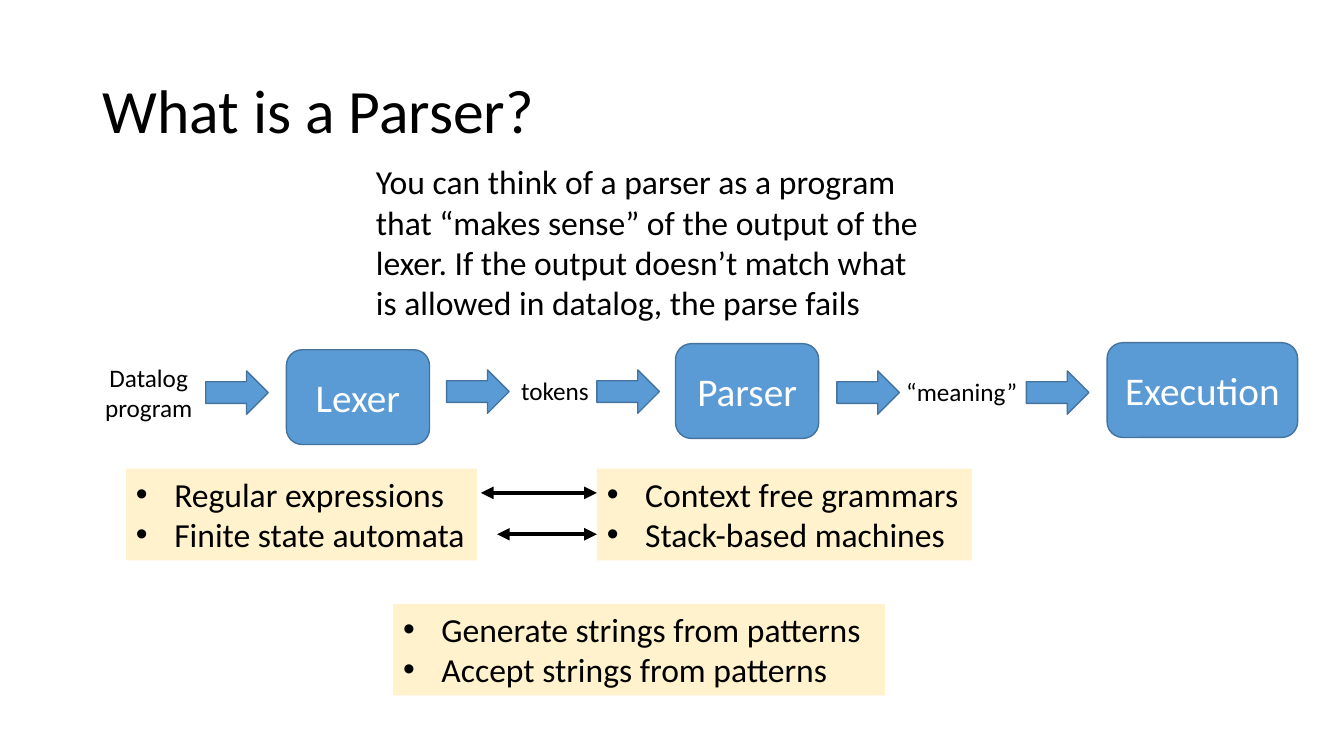
from dataclasses import dataclass

from lxml.etree import SubElement
from pptx import Presentation
from pptx.dml.color import RGBColor
from pptx.enum.shapes import MSO_CONNECTOR, MSO_SHAPE
from pptx.enum.text import MSO_ANCHOR, PP_ALIGN
from pptx.oxml.ns import qn
from pptx.shapes.autoshape import Shape
from pptx.slide import Slide
from pptx.text.text import TextFrame
from pptx.util import Inches, Pt


@dataclass(frozen=True)
class Theme:
    font: str = "Calibri"
    text: RGBColor = RGBColor(0x00, 0x00, 0x00)
    stage_text: RGBColor = RGBColor(0xFF, 0xFF, 0xFF)
    stage_fill: RGBColor = RGBColor(0x5B, 0x9B, 0xD5)
    stage_line: RGBColor = RGBColor(0x43, 0x73, 0x9E)
    note_fill: RGBColor = RGBColor(0xFF, 0xF2, 0xCC)
    title_size: int = 44
    stage_size: int = 28
    body_size: int = 24
    label_size: int = 18


@dataclass(frozen=True)
class Box:
    left: float
    top: float
    width: float
    height: float


@dataclass(frozen=True)
class Caption:
    box: Box
    lines: tuple[str, ...]
    size: int
    align: PP_ALIGN = PP_ALIGN.LEFT
    anchor: MSO_ANCHOR = MSO_ANCHOR.TOP
    wrap: bool = True
    spacing: float = 1.0


@dataclass(frozen=True)
class Stage:
    name: str
    box: Box


@dataclass(frozen=True)
class Notes:
    box: Box
    items: tuple[str, ...]


@dataclass(frozen=True)
class Link:
    start: float
    end: float
    y: float


THEME = Theme()

CAPTIONS = (
    Caption(Box(0.92, 0.4, 11.5, 1.45), ("What is a Parser?",), THEME.title_size,
            anchor=MSO_ANCHOR.MIDDLE, spacing=0.9),
    Caption(Box(3.63, 1.55, 5.63, 1.72), (
        "You can think of a parser as a program",
        "that “makes sense” of the output of the",
        "lexer. If the output doesn’t match what",
        "is allowed in datalog, the parse fails",
    ), THEME.body_size, wrap=False),
    Caption(Box(0.68, 3.54, 1.59, 0.71), ("Datalog program",), THEME.label_size,
            align=PP_ALIGN.CENTER),
    Caption(Box(5.07, 3.67, 1.01, 0.4), ("tokens",), THEME.label_size),
    Caption(Box(8.89, 3.68, 1.37, 0.4), ("“meaning”",), THEME.label_size),
)
FLOW_ARROWS = tuple(
    Box(left, top, 0.62, 0.43)
    for left, top in ((2.04, 3.68), (4.43, 3.67), (5.92, 3.67), (8.3, 3.68), (10.18, 3.68))
)
STAGES = (
    Stage("Lexer", Box(2.84, 3.47, 1.42, 0.94)),
    Stage("Parser", Box(6.7, 3.41, 1.42, 0.94)),
    Stage("Execution", Box(10.98, 3.4, 1.89, 0.94)),
)
NOTES = (
    Notes(Box(1.25, 4.65, 3.48, 0.91), ("Regular expressions", "Finite state automata")),
    Notes(Box(5.92, 4.65, 3.72, 0.91), ("Context free grammars", "Stack-based machines")),
    Notes(Box(3.9, 5.99, 4.88, 0.91),
          ("Generate strings from patterns", "Accept strings from patterns")),
)
LINKS = (Link(4.77, 5.92, 4.89), Link(4.93, 5.92, 5.3))


def place(box: Box) -> tuple[Inches, Inches, Inches, Inches]:
    return Inches(box.left), Inches(box.top), Inches(box.width), Inches(box.height)


def write_lines(frame: TextFrame, lines: tuple[str, ...], size: int, color: RGBColor,
                align: PP_ALIGN = PP_ALIGN.LEFT, spacing: float = 1.0,
                bulleted: bool = False) -> None:
    for index, line in enumerate(lines):
        paragraph = frame.add_paragraph() if index else frame.paragraphs[0]
        paragraph.alignment = align
        paragraph.line_spacing = spacing
        if bulleted:
            properties = paragraph._p.get_or_add_pPr()
            properties.set("marL", str(Inches(0.38)))
            properties.set("indent", str(-Inches(0.38)))
            SubElement(properties, qn("a:buFont"), typeface="Arial")
            SubElement(properties, qn("a:buChar"), char="•")
        run = paragraph.add_run()
        run.text = line
        run.font.name = THEME.font
        run.font.size = Pt(size)
        run.font.color.rgb = color


def add_caption(slide: Slide, caption: Caption) -> None:
    frame = slide.shapes.add_textbox(*place(caption.box)).text_frame
    frame.word_wrap = caption.wrap
    frame.vertical_anchor = caption.anchor
    write_lines(frame, caption.lines, caption.size, THEME.text, caption.align, caption.spacing)


def add_blue_shape(slide: Slide, kind: MSO_SHAPE, box: Box) -> Shape:
    shape = slide.shapes.add_shape(kind, *place(box))
    shape.shadow.inherit = False
    shape.fill.solid()
    shape.fill.fore_color.rgb = THEME.stage_fill
    shape.line.color.rgb = THEME.stage_line
    shape.line.width = Pt(1)
    return shape


def add_stage(slide: Slide, stage: Stage) -> None:
    frame = add_blue_shape(slide, MSO_SHAPE.ROUNDED_RECTANGLE, stage.box).text_frame
    frame.word_wrap = True
    frame.vertical_anchor = MSO_ANCHOR.MIDDLE
    write_lines(frame, (stage.name,), THEME.stage_size, THEME.stage_text, PP_ALIGN.CENTER)


def add_notes(slide: Slide, notes: Notes) -> None:
    panel = slide.shapes.add_textbox(*place(notes.box))
    panel.fill.solid()
    panel.fill.fore_color.rgb = THEME.note_fill
    panel.text_frame.word_wrap = False
    write_lines(panel.text_frame, notes.items, THEME.body_size, THEME.text, bulleted=True)


def add_link(slide: Slide, link: Link) -> None:
    """Draw a horizontal line with an arrowhead at both ends."""
    arrow = slide.shapes.add_connector(
        MSO_CONNECTOR.STRAIGHT,
        Inches(link.start), Inches(link.y), Inches(link.end), Inches(link.y))
    arrow.line.color.rgb = THEME.text
    arrow.line.width = Pt(3)
    outline = arrow.line._get_or_add_ln()
    for end in ("a:headEnd", "a:tailEnd"):
        SubElement(outline, qn(end), type="triangle")
    SubElement(arrow._element.spPr, qn("a:effectLst"))


def main() -> None:
    deck = Presentation()
    deck.slide_width, deck.slide_height = Inches(13.33), Inches(7.5)
    slide = deck.slides.add_slide(deck.slide_layouts[6])
    for caption in CAPTIONS:
        add_caption(slide, caption)
    for arrow in FLOW_ARROWS:
        add_blue_shape(slide, MSO_SHAPE.RIGHT_ARROW, arrow)
    for stage in STAGES:
        add_stage(slide, stage)
    for notes in NOTES:
        add_notes(slide, notes)
    for link in LINKS:
        add_link(slide, link)
    deck.save("out.pptx")


if __name__ == "__main__":
    main()
